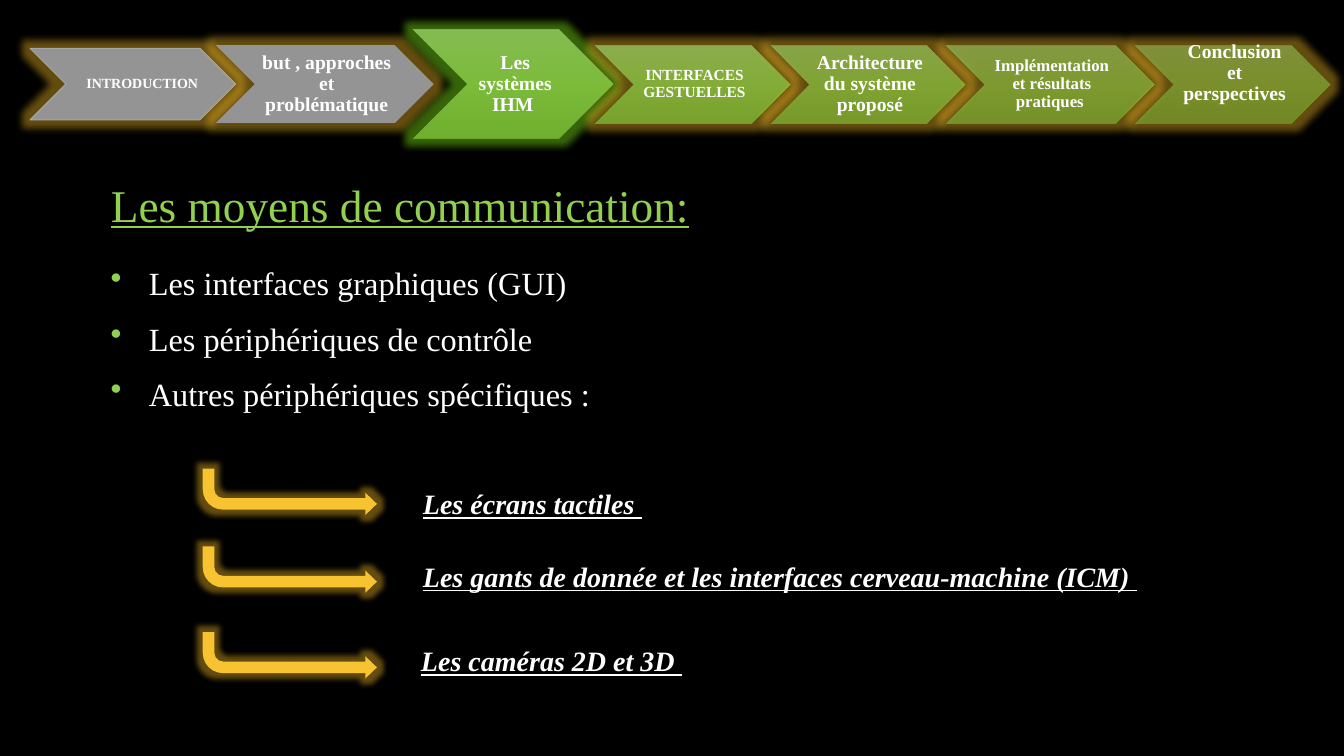
import pptx
import pptx.util
import pptx.dml.color
import pptx.enum.shapes
import pptx.enum.text
import pptx.oxml.ns
from lxml import etree

Cm, Pt = pptx.util.Cm, pptx.util.Pt
RGB = pptx.dml.color.RGBColor
KIND = pptx.enum.shapes.MSO_SHAPE
ALIGN = pptx.enum.text.PP_ALIGN
ANCHOR = pptx.enum.text.MSO_ANCHOR
qn = pptx.oxml.ns.qn

BLACK = RGB(0x00, 0x00, 0x00)
WHITE = RGB(0xFF, 0xFF, 0xFF)
GREEN = RGB(0x92, 0xD0, 0x50)
GREY = RGB(0x94, 0x94, 0x94)
RIM = RGB(0xA6, 0xA6, 0xA6)
GOLD = RGB(0xF7, 0xC3, 0x31)
AMBER = RGB(0xFF, 0xC3, 0x28)
LIME = RGB(0x8A, 0xFF, 0x1A)
SHADES = [(0, RGB(0x9E, 0xD6, 0x69)), (50, RGB(0x92, 0xD6, 0x4A)), (100, RGB(0x82, 0xC6, 0x3A))]
FONT = "Times New Roman"

TITLE = "Les moyens de communication:"
MEANS = [
    "Les interfaces graphiques (GUI)",
    "Les périphériques de contrôle",
    "Autres périphériques spécifiques :",
]
# words, left, width, height, text size, opacity in % (None = grey), glow, text lift
STEPS = [
    ("INTRODUCTION", 0.76, 5.18, 1.8, 10, None, AMBER, 0),
    ("but , approches et problématique", 5.44, 5.49, 1.96, 14, None, AMBER, 0),
    ("Les systèmes IHM ", 10.41, 5.05, 2.74, 14, 77, LIME, 0),
    ("INTERFACES GESTUELLES", 14.99, 4.93, 1.96, 11, 70, AMBER, 0),
    ("Architecture du système proposé", 19.41, 4.93, 1.96, 14, 63, AMBER, 0),
    ("Implémentation et résultats pratiques ", 23.83, 5.26, 1.96, 12, 57, AMBER, 0),
    ("Conclusion et perspectives", 28.6, 4.93, 1.96, 14, 50, AMBER, 0.27),
]
MID = 2.12
# words, left and top of the words, top of the arrow
DEVICES = [
    ("Les écrans tactiles ", 10.41, 12.14, 11.81),
    ("Les gants de donnée et les interfaces cerveau-machine (ICM) ", 10.41, 13.97, 13.77),
    ("Les caméras 2D et 3D ", 10.36, 16.1, 15.93),
]
BEND = [0.25, 0.241, 0.25, 0.438]


def style(item, **values):
    for name, value in values.items():
        setattr(item, name, value)


def ink(font, size, color=WHITE, **more):
    style(font, name=FONT, size=Pt(size), **more)
    font.color.rgb = color


def tint(parent, color, alpha):
    node = etree.SubElement(parent, qn("a:srgbClr"), val=str(color))
    etree.SubElement(node, qn("a:alpha"), val=str(alpha * 1000))


def draw(slide, kind, box, glow, size):
    """Add a shape without line, with a glow of the given size in points."""
    shape = slide.shapes.add_shape(kind, *map(Cm, box))
    shape.shadow.inherit = False
    shape.line.fill.background()
    halo = shape._element.spPr.find(qn("a:effectLst"))
    tint(etree.SubElement(halo, qn("a:glow"), rad=str(Pt(size))), glow, 40)
    return shape


def paint(shape, color):
    shape.fill.solid()
    shape.fill.fore_color.rgb = color


def fade(shape, alpha):
    shape.fill.gradient()
    shape.fill.gradient_angle = 270
    stops = shape._element.spPr.find(".//" + qn("a:gsLst"))
    stops.clear()
    for place, color in SHADES:
        tint(etree.SubElement(stops, qn("a:gs"), pos=str(place * 1000)), color, alpha)


def write(slide, box, words, **frame):
    """Add a text box and return its first paragraph."""
    text = slide.shapes.add_textbox(*map(Cm, box)).text_frame
    style(text, word_wrap=True, **frame)
    text.text = words
    return text.paragraphs[0]


def add_step(slide, first, words, left, width, high, size, alpha, glow, lift):
    top = MID - high / 2
    shape = draw(slide, KIND.CHEVRON, (left, top, width, high), glow, 11)
    if alpha:
        fade(shape, alpha)
    else:
        paint(shape, GREY)
    if first:
        shape.line.color.rgb = RIM
        shape.line.width = Pt(0.75)
    box = (left + high / 2, top - lift, width - high, high)
    para = write(slide, box, words, vertical_anchor=ANCHOR.MIDDLE,
                 margin_left=Cm(0.15), margin_right=Cm(0.05),
                 margin_top=Cm(0.05), margin_bottom=Cm(0.05))
    style(para, alignment=ALIGN.RIGHT if first else ALIGN.CENTER, line_spacing=0.9)
    ink(para.font, size, bold=True)


def add_means(slide):
    text = write(slide, (2.54, 6.78, 27.6, 4), "\n".join(MEANS))._parent
    for rank, para in enumerate(text.paragraphs):
        props = para._p.get_or_add_pPr()
        style_gap = Pt(20.3 if rank else 0)
        style(para, line_spacing=0.7, space_before=style_gap)
        props.set("marL", str(Cm(0.96)))
        props.set("indent", str(-Cm(0.96)))
        dye = etree.SubElement(props, qn("a:buClr"))
        etree.SubElement(dye, qn("a:srgbClr"), val=str(GREEN))
        etree.SubElement(props, qn("a:buChar"), char="•")
        ink(para.font, 23.1)


def add_device(slide, words, left, top, start):
    arrow = draw(slide, KIND.BENT_ARROW, (5.11, start, 4.39, 1.17), AMBER, 8)
    paint(arrow, GOLD)
    arrow._element.spPr.find(qn("a:xfrm")).set("flipV", "1")
    for rank, value in enumerate(BEND):
        arrow.adjustments[rank] = value
    para = write(slide, (left, top, 19.5, 1.12), words)
    ink(para.font, 20, bold=True, italic=True, underline=True)


def main():
    deck = pptx.Presentation()
    style(deck, slide_width=Cm(33.87), slide_height=Cm(19.05))
    slide = deck.slides.add_slide(deck.slide_layouts[5])
    slide.background.fill.solid()
    slide.background.fill.fore_color.rgb = BLACK

    title = slide.shapes.title
    style(title, left=Cm(2.54), top=Cm(4.32), width=Cm(25.6), height=Cm(1.65))
    style(title.text_frame, text=TITLE, vertical_anchor=ANCHOR.BOTTOM, word_wrap=True)
    para = title.text_frame.paragraphs[0]
    style(para, alignment=ALIGN.LEFT, line_spacing=0.9)
    ink(para.font, 32.4, GREEN, underline=True)

    add_means(slide)
    for rank, step in enumerate(STEPS):
        add_step(slide, rank == 0, *step)
    for device in DEVICES:
        add_device(slide, *device)
    deck.save("out.pptx")


if __name__ == "__main__":
    main()
